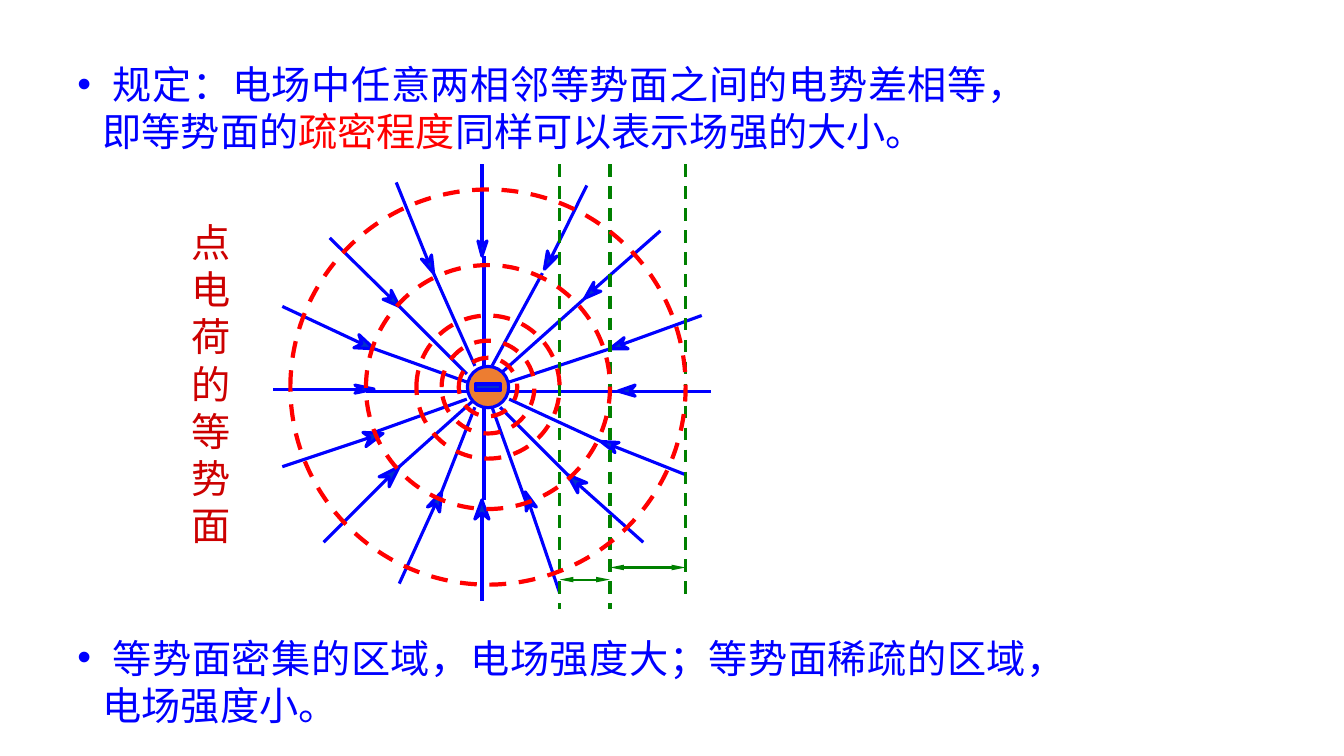
import pptx
import pptx.util
import pptx.dml.color
import pptx.enum.dml
import pptx.enum.lang
import pptx.enum.shapes
import pptx.enum.text
from pptx.oxml.ns import qn
from lxml import etree

Inches, Pt = pptx.util.Inches, pptx.util.Pt
RGB = pptx.dml.color.RGBColor.from_string
KIND = pptx.enum.shapes.MSO_SHAPE
DASH = pptx.enum.dml.MSO_LINE.DASH

COLORS = {"blue": "0000FF", "head": "0033CC", "hub": "ED7D31",
          "red": "FF0000", "green": "008000", "title": "CC0000"}
MID = (4.84, 3.84)

# Each ray: outer end, notch, barb, tip, barb of its arrowhead, inner start and end
RAYS = [
    [(2.71, 3.86), (3.58, 3.86), (3.52, 3.9), (3.71, 3.86), (3.52, 3.82), (3.63, 3.88), (4.63, 3.88)],
    [(2.8, 3.04), (3.59, 3.41), (3.51, 3.45), (3.71, 3.46), (3.56, 3.32), (3.71, 3.46), (4.63, 3.79)],
    [(3.27, 2.36), (3.88, 2.96), (3.8, 2.97), (3.96, 3.04), (3.88, 2.88), (3.96, 3.04), (4.63, 3.71)],
    [(3.93, 1.81), (4.25, 2.6), (4.18, 2.57), (4.3, 2.71), (4.28, 2.53), (4.3, 2.71), (4.71, 3.63)],
    [(4.78, 1.63), (4.78, 2.44), (4.74, 2.39), (4.78, 2.54), (4.83, 2.39), (4.8, 2.54), (4.8, 3.63)],
    [(5.82, 1.84), (5.46, 2.57), (5.43, 2.49), (5.4, 2.67), (5.53, 2.54), (5.38, 2.71), (4.88, 3.63)],
    [(6.55, 2.29), (5.88, 2.88), (5.89, 2.8), (5.8, 2.96), (5.96, 2.89), (5.8, 2.96), (4.96, 3.71)],
    [(6.96, 3.13), (6.16, 3.42), (6.19, 3.35), (6.05, 3.46), (6.23, 3.46), (6.05, 3.46), (5.05, 3.79)],
    [(7.05, 3.88), (6.25, 3.88), (6.3, 3.82), (6.13, 3.88), (6.3, 3.93), (6.13, 3.88), (5.05, 3.88)],
    [(6.8, 4.71), (6.07, 4.42), (6.14, 4.39), (5.96, 4.38), (6.1, 4.49), (5.96, 4.38), (5.05, 3.96)],
    [(6.38, 5.38), (5.73, 4.8), (5.82, 4.79), (5.63, 4.71), (5.73, 4.89), (5.63, 4.71), (4.96, 4.04)],
    [(5.55, 5.88), (5.25, 5), (5.32, 5.03), (5.21, 4.88), (5.22, 5.07), (5.21, 4.96), (4.88, 4.04)],
    [(4.78, 5.96), (4.78, 5.09), (4.85, 5.15), (4.78, 4.96), (4.71, 5.15), (4.8, 4.96), (4.8, 4.04)],
    [(3.96, 5.79), (4.32, 5), (4.36, 5.08), (4.38, 4.88), (4.24, 5.03), (4.38, 4.88), (4.71, 4.04)],
    [(3.21, 5.38), (3.86, 4.73), (3.86, 4.83), (3.96, 4.63), (3.76, 4.73), (3.96, 4.63), (4.71, 3.96)],
    [(2.8, 4.63), (3.67, 4.34), (3.63, 4.43), (3.8, 4.3), (3.6, 4.29), (3.71, 4.29), (4.63, 3.96)],
]

deck = pptx.Presentation()
deck.slide_width, deck.slide_height = Inches(13.33), Inches(7.5)
shapes = deck.slides.add_slide(deck.slide_layouts[6]).shapes


def draw_line(start, end, color, width):
    line = shapes.add_connector(pptx.enum.shapes.MSO_CONNECTOR.STRAIGHT,
                                *map(Inches, start + end))
    line.line.color.rgb = RGB(COLORS[color])
    line.line.width = Pt(width)
    etree.SubElement(line._element.spPr, qn("a:effectLst"))
    return line


def paint(shape, fill, edge, width):
    """Give a shape its fill (None for no fill) and outline, without shadow."""
    shape.shadow.inherit = False
    if fill:
        shape.fill.solid()
        shape.fill.fore_color.rgb = RGB(COLORS[fill])
    else:
        shape.fill.background()
    shape.line.color.rgb = RGB(COLORS[edge])
    shape.line.width = Pt(width)


# Field lines pointing at the negative charge
for outer, notch, barb, tip, barb2, start, end in RAYS:
    draw_line(outer, notch, "blue", 2.25)
    pen = shapes.build_freeform(*map(Inches, barb))
    pen.add_line_segments([tuple(map(Inches, p)) for p in (tip, barb2, notch)])
    paint(pen.convert_to_shape(), "head", "blue", 2.25)
    draw_line(start, end, "blue", 2.25)

# Charge with its minus sign
for kind, wide, high, fill in [(KIND.OVAL, 0.41, 0.41, "hub"),
                               (KIND.RECTANGLE, 0.25, 0.06, "head")]:
    part = shapes.add_shape(kind, Inches(MID[0] - wide / 2), Inches(MID[1] - high / 2),
                            Inches(wide), Inches(high))
    paint(part, fill, "blue", 2.25)

# Distances between neighbouring surfaces
for x, foot in [(5.55, 6.04), (6.05, 6.04), (6.8, 5.96)]:
    draw_line((x, 1.63), (x, foot), "green", 2.25).line.dash_style = DASH
for left, right, y in [(5.55, 6.05, 5.75), (6.05, 6.8, 5.63)]:
    gap = draw_line((left, y), (right, y), "green", 1.5)
    for tag in ("a:headEnd", "a:tailEnd"):
        etree.SubElement(gap.line._get_or_add_ln(), qn(tag),
                         type="triangle", w="sm", len="lg")

# Equipotential surfaces
for size in (0.58, 0.92, 1.42, 2.42, 3.92):
    ring = shapes.add_shape(KIND.OVAL, Inches(MID[0] - size / 2),
                            Inches(MID[1] - size / 2), Inches(size), Inches(size))
    paint(ring, None, "red", 3)
    ring.line.dash_style = DASH

# Texts: place, bullet, runs with colours
TEXTS = [
    ((0.67, 0.55, 9.62, 1.03), True,
     [(" 规定：电场中任意两相邻等势面之间的电势差相等，即等势面的", "blue"),
      ("疏密程度", "red"), ("同样可以表示场强的大小。", "blue")]),
    ((0.67, 6.24, 9.62, 1.04), True,
     [(" 等势面密集的区域，电场强度大；等势面稀疏的区域，电场强度小。", "blue")]),
    ((1.8, 2.12, 0.67, 3.4), False, [("点电荷的等势面", "title")]),
]
for place, bullet, runs in TEXTS:
    frame = shapes.add_textbox(*map(Inches, place)).text_frame
    frame.word_wrap = True
    frame.auto_size = pptx.enum.text.MSO_AUTO_SIZE.SHAPE_TO_FIT_TEXT
    para = frame.paragraphs[0]
    if bullet:
        para.alignment = pptx.enum.text.PP_ALIGN.JUSTIFY
        props = para._p.get_or_add_pPr()
        props.set("marL", str(Inches(0.25)))
        props.set("indent", str(-Inches(0.25)))
        etree.SubElement(props, qn("a:buFont"), typeface="Arial")
        etree.SubElement(props, qn("a:buChar"), char="•")
    for words, color in runs:
        run = para.add_run()
        run.text = words
        run.font.size = Pt(28)
        run.font.name = "Times New Roman"
        run.font.color.rgb = RGB(COLORS[color])
        run.font.language_id = pptx.enum.lang.MSO_LANGUAGE_ID.SIMPLIFIED_CHINESE

deck.save("out.pptx")
